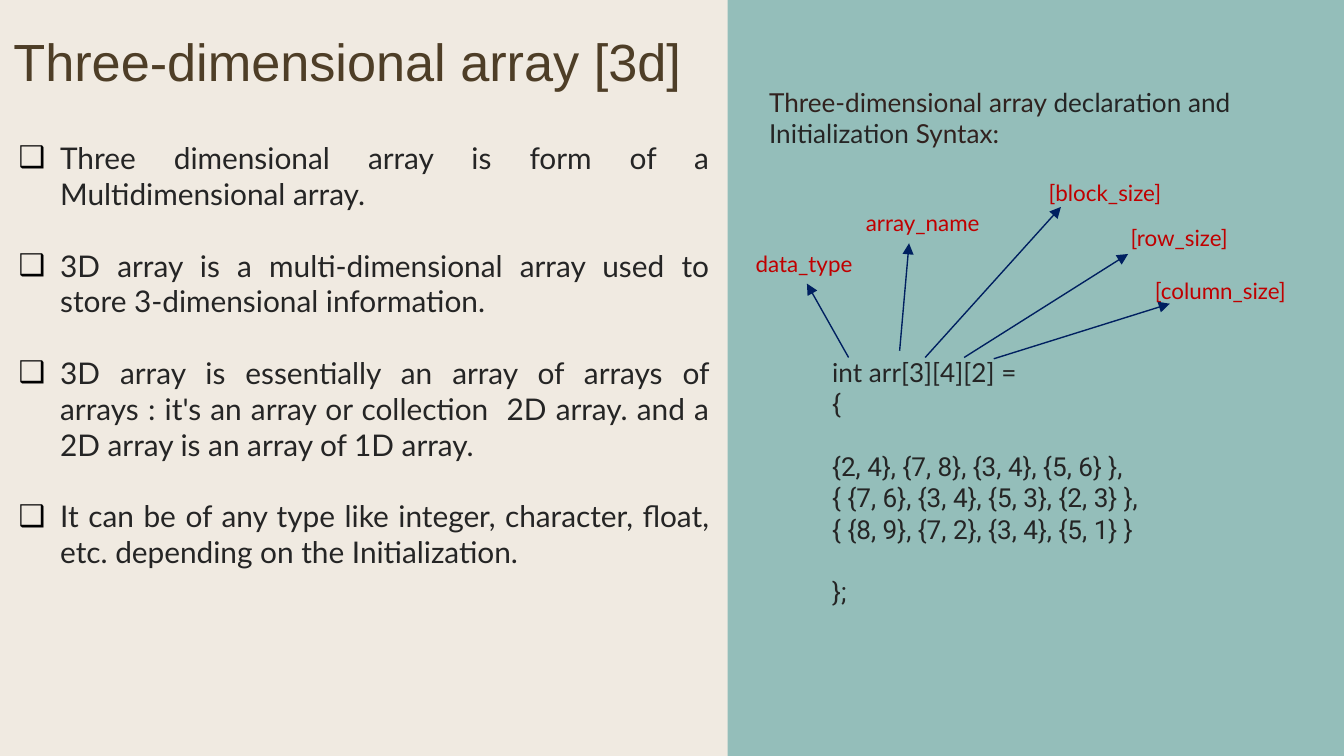
from dataclasses import dataclass

from lxml.etree import SubElement
from pptx import Presentation
from pptx.dml.color import RGBColor
from pptx.enum.shapes import MSO_CONNECTOR as Connector, MSO_SHAPE as Preset
from pptx.enum.text import MSO_ANCHOR as Anchor, MSO_AUTO_SIZE as AutoSize, PP_ALIGN as Align
from pptx.oxml.ns import qn
from pptx.util import Inches, Pt

COLORS = {
    "cream": "F0EAE1", "teal": "94BEBA", "title": "4E3E27", "text": "252525",
    "brown": "31221F", "label": "C00000", "arrow": "002060", "bullet": "000000",
}
COLUMNS = 100
ROWS = COLUMNS * 9 / 16
CELL = Inches(10) / COLUMNS
SPLIT = 54.14
INDENT = Inches(0.31)
POINTS = [
    "Three dimensional array is form of a Multidimensional array.",
    "3D array is a multi-dimensional array used to store 3-dimensional information.",
    "3D array is essentially an array of arrays of arrays : it's an array or collection  2D array. "
    "and a 2D array is an array of 1D array.",
    "It can be of any type like integer, character, float, etc. depending on the Initialization.",
]
DECLARATION = [
    ("Three-dimensional array ", "brown"),
    ("declaration and Initialization ", "text"),
    ("Syntax:", "brown"),
]
CODE = [
    ("int arr[3][4][2] =", "Lato", 0),
    ("{ ", "Roboto", 0),
    ("{2, 4}, {7, 8}, {3, 4}, {5, 6} }, ", "Roboto", 1),
    ("{ {7, 6}, {3, 4}, {5, 3}, {2, 3} }, ", "Roboto", 0),
    ("{ {8, 9}, {7, 2}, {3, 4}, {5, 1} } ", "Roboto", 0),
    ("}; ", "Roboto", 1),
]
PARTS = [
    ("data_type", (1.1, 17.6, 11.7), (9, 26.6), (5.9, 21.1)),
    ("array_name", (9.3, 14.6, 13), (12.8, 26.1), (13.5, 18.1)),
    ("[row_size]", (29, 15.7, 14), (17.6, 26.6), (29.8, 18.9)),
    ("[column_size]", (30.8, 19.6, 14), (19.8, 26.7), (32.9, 22.6)),
    ("[block_size]", (22.9, 12.3, 12.3), (14.7, 26.6), (24.8, 15.4)),
]


@dataclass
class Box:
    """A region of the slide, measured in grid cells."""

    left: float
    top: float
    width: float
    height: float

    def point(self, column, row):
        """Return the slide position of a point inside the region."""
        return round((self.left + column) * CELL), round((self.top + row) * CELL)

    def area(self, column, row, width, height):
        """Return the slide position and size of an area inside the region."""
        return *self.point(column, row), round(width * CELL), round(height * CELL)


def color(name):
    """Look up a named colour."""
    return RGBColor.from_string(COLORS[name])


def prepare_frame(shape):
    """Give a shape's text frame even insets, wrapping and top anchoring."""
    frame = shape.text_frame
    frame.word_wrap = True
    frame.auto_size = AutoSize.NONE
    frame.vertical_anchor = Anchor.TOP
    frame.margin_left = frame.margin_right = Inches(0.1)
    frame.margin_top = frame.margin_bottom = Inches(0.1)
    return frame


def add_frame(slide, area):
    """Add a text box and return its prepared frame."""
    return prepare_frame(slide.shapes.add_textbox(*area))


def next_paragraph(frame, index, align=Align.JUSTIFY):
    """Return the first paragraph, or a new one for later indexes."""
    paragraph = frame.add_paragraph() if index else frame.paragraphs[0]
    paragraph.alignment = align
    return paragraph


def add_run(paragraph, text, size, color_name="text", font="Lato"):
    """Append one formatted run."""
    run = paragraph.add_run()
    run.text = text
    run.font.size = Pt(size)
    run.font.name = font
    run.font.color.rgb = color(color_name)


def add_bullet(paragraph):
    """Give a paragraph a hanging box bullet."""
    properties = paragraph._p.get_or_add_pPr()
    properties.set("marL", str(INDENT))
    properties.set("indent", str(-INDENT))
    bullet_color = SubElement(properties, qn("a:buClr"))
    SubElement(bullet_color, qn("a:srgbClr"), val=COLORS["bullet"])
    SubElement(properties, qn("a:buFont"), typeface="Arial")
    SubElement(properties, qn("a:buChar"), char="❑")


def add_arrow(slide, start, end):
    """Draw a thin arrow between two slide positions."""
    arrow = slide.shapes.add_connector(Connector.STRAIGHT, *start, *end)
    arrow.line.color.rgb = color("arrow")
    arrow.line.width = Pt(0.75)
    SubElement(arrow.line._get_or_add_ln(), qn("a:tailEnd"), type="triangle")
    SubElement(arrow._element.spPr, qn("a:effectLst"))


def add_panels(slide, panels):
    """Fill each box with its background colour, in one group."""
    group = slide.shapes.add_group_shape()
    for box, fill in panels:
        panel = group.shapes.add_shape(Preset.RECTANGLE, *box.area(0, 0, box.width, box.height))
        panel.shadow.inherit = False
        panel.fill.solid()
        panel.fill.fore_color.rgb = color(fill)
        panel.line.fill.background()


def add_explanation(slide, box):
    """Place the title and the bulleted points."""
    title = slide.shapes.title
    slide.shapes.element.append(title.element)
    title.left, title.top, title.width, title.height = box.area(0, 1.2, 58, 6.1)
    paragraph = next_paragraph(prepare_frame(title), 0, Align.LEFT)
    add_run(paragraph, "Three-dimensional array [3d]", 28, "title", "Arial")

    frame = add_frame(slide, box.area(0.4, 9.4, 53.4, 38.1))
    for index, text in enumerate(POINTS):
        paragraph = next_paragraph(frame, index)
        paragraph.space_before = Pt(19.2 if index else 0)
        add_bullet(paragraph)
        add_run(paragraph, text, 16)


def add_syntax(slide, box):
    """Place the declaration, the code and its labelled arrows."""
    frame = add_frame(slide, box.area(2.1, 5.4, 46, 8.5))
    paragraph = next_paragraph(frame, 0, Align.LEFT)
    for text, color_name in DECLARATION:
        add_run(paragraph, text, 14, color_name)

    frame = add_frame(slide, box.area(6.8, 25.5, 32, 18.5))
    for index, (text, font, gap) in enumerate(CODE):
        paragraph = next_paragraph(frame, index)
        paragraph.space_before = Pt(16.8 * gap)
        add_run(paragraph, text, 14, font=font)

    for text, (column, row, width), start, end in PARTS:
        frame = add_frame(slide, box.area(column, row, width, 4.4))
        add_run(next_paragraph(frame, 0), text, 12, "label")
        add_arrow(slide, box.point(*start), box.point(*end))


def main():
    """Build and save the presentation."""
    presentation = Presentation()
    presentation.slide_width = round(COLUMNS * CELL)
    presentation.slide_height = round(ROWS * CELL)
    slide = presentation.slides.add_slide(presentation.slide_layouts[5])
    whole = Box(0, 0, COLUMNS, ROWS)
    right = Box(SPLIT, 0, COLUMNS - SPLIT, ROWS)
    add_panels(slide, [(whole, "cream"), (right, "teal")])
    add_explanation(slide, whole)
    add_syntax(slide, right)
    presentation.save("out.pptx")


if __name__ == "__main__":
    main()
